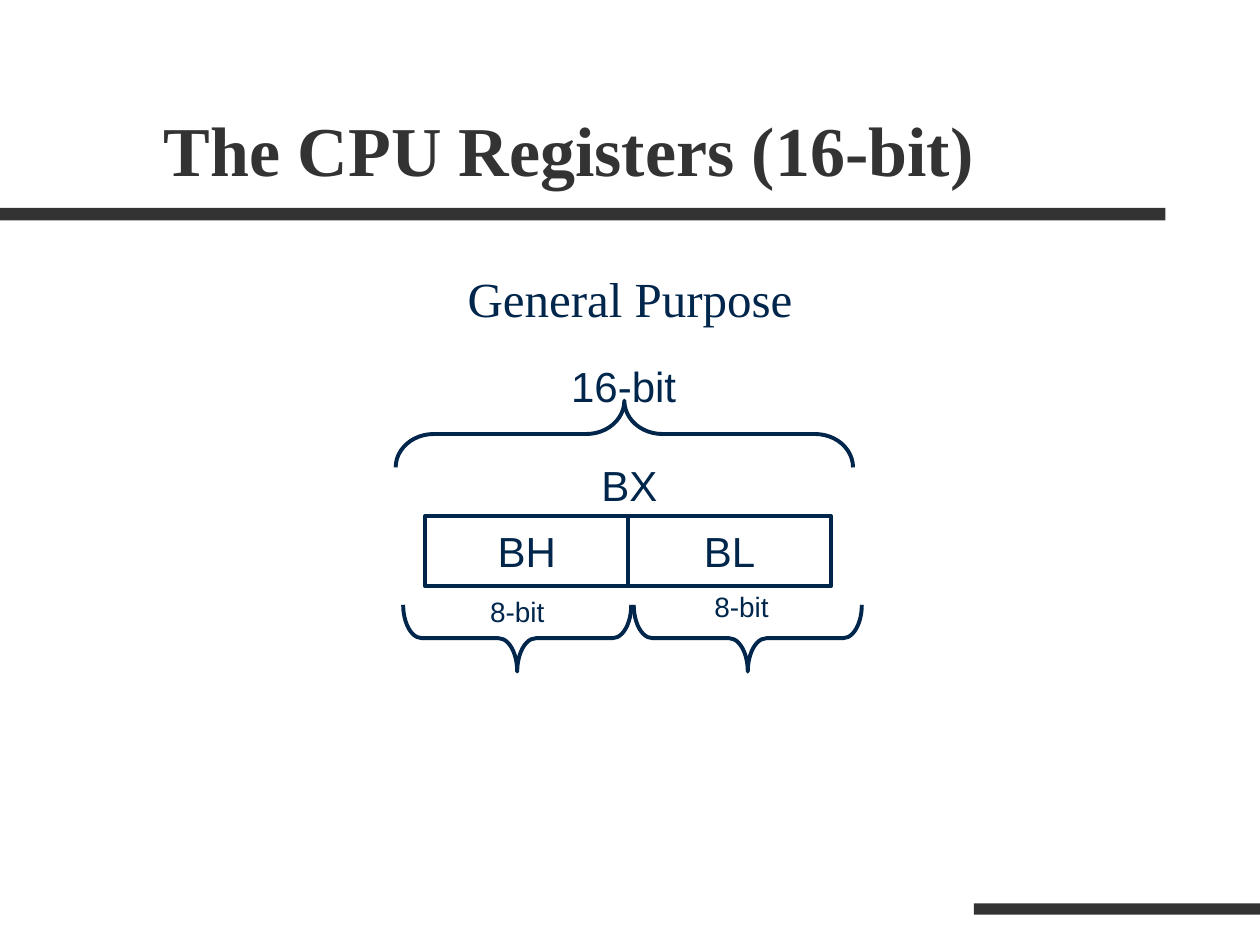
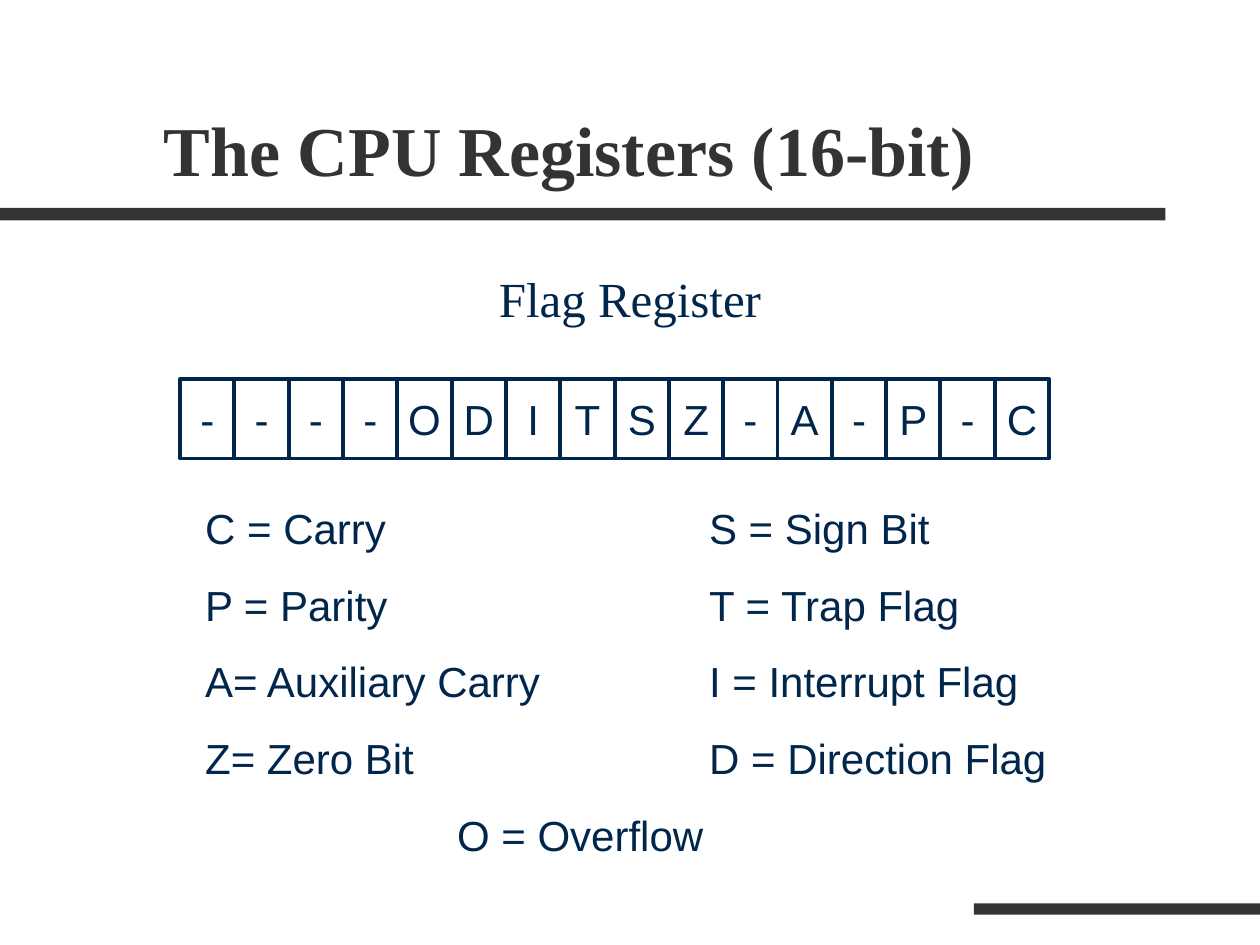
from lxml import etree
from pptx import Presentation, util as u
from pptx.dml.color import RGBColor
from pptx.enum import shapes, text
from pptx.oxml.ns import qn

DARK, NAVY = "333333", "00264C"
SERIF, SANS = "Times New Roman", "Arial"
COLS, ROWS = 100, 75
LEFT, MID = text.PP_ALIGN.LEFT, text.PP_ALIGN.CENTER
BOX, BRACE = shapes.MSO_SHAPE.RECTANGLE, shapes.MSO_SHAPE.LEFT_BRACE


def paint(code):
    return RGBColor.from_string(code)


class Deck:
    """Holds the style and the current slide, measured on a grid of COLS by ROWS."""

    def __init__(self):
        self.file = Presentation()
        self.unit = u.Inches(10) // COLS
        self.file.slide_width, self.file.slide_height = self.grid(COLS, ROWS)
        self.slide = None

    def grid(self, *spots):
        return [u.Emu(round(spot * self.unit)) for spot in spots]

    def place(self, shape, *spots):
        shape.left, shape.top, shape.width, shape.height = self.grid(*spots)

    def style(self, para, size, face=SANS, color=NAVY, align=MID, bold=False, before=0):
        para.alignment = align
        para.space_before = u.Pt(before)
        font = para.font
        font.size, font.name, font.bold = u.Pt(size), face, bold
        font.color.rgb = paint(color)

    def page(self, title, topic):
        self.slide = self.file.slides.add_slide(self.file.slide_layouts[1])
        self.band(0, 16.5, 92.5, 1)
        self.band(77.3, 71.7, 22.7, 0.9)
        head, body = self.slide.placeholders
        self.place(head, 12, 3.1, 85, 12.5)
        self.place(body, 7.5, 20.8, 85, 45.8)
        for holder, words in ((head, title), (body, topic)):
            holder.text_frame.text = words
            holder.text_frame.auto_size = text.MSO_AUTO_SIZE.NONE
        head.text_frame.vertical_anchor = text.MSO_ANCHOR.BOTTOM
        self.style(head.text_frame.paragraphs[0], 40, SERIF, DARK, LEFT, True)
        para = body.text_frame.paragraphs[0]
        props = para._p.get_or_add_pPr()
        props.set("marL", "0")
        props.set("indent", "0")
        etree.SubElement(props, qn("a:buNone"))
        self.style(para, 28, SERIF)

    def shape(self, kind, *spots):
        shape = self.slide.shapes.add_shape(kind, *self.grid(*spots))
        shape.shadow.inherit = False
        return shape

    def band(self, *spots):
        band = self.shape(BOX, *spots)
        band.fill.solid()
        band.fill.fore_color.rgb = paint(DARK)
        band.line.fill.background()

    def stroke(self, kind, *spots):
        shape = self.shape(kind, *spots)
        shape.fill.background()
        shape.line.color.rgb = paint(NAVY)
        shape.line.width = u.Pt(2.25)
        return shape

    def cells(self, labels, left, top, width, height):
        for i, label in enumerate(labels):
            frame = self.stroke(BOX, left + i * width, top, width, height).text_frame
            frame.text = label
            frame.word_wrap = False
            frame.vertical_anchor = text.MSO_ANCHOR.MIDDLE
            self.style(frame.paragraphs[0], 24)

    def brace(self, left, top, span, depth, turn, curve):
        shift = (span - depth) / 2
        brace = self.stroke(BRACE, left + shift, top - shift, depth, span)
        brace.rotation = turn
        brace.adjustments[0] = curve

    def frame(self, words, *spots):
        frame = self.slide.shapes.add_textbox(*self.grid(*spots)).text_frame
        frame.word_wrap = True
        frame.text = words
        return frame

    def label(self, words, size, *spots):
        self.style(self.frame(words, *spots).paragraphs[0], size)

    def list(self, lines, stops, *spots):
        frame = self.frame("\n".join(lines), *spots)
        for i, (para, stop) in enumerate(zip(frame.paragraphs, stops)):
            tabs = etree.SubElement(para._p.get_or_add_pPr(), qn("a:tabLst"))
            pos = str(self.grid(stop)[0])
            etree.SubElement(tabs, qn("a:tab"), pos=pos, algn="l")
            self.style(para, 24, align=LEFT, before=15 if i else 0)


def main():
    deck = Deck()
    title = "The CPU Registers (16-bit)"

    deck.page(title, "General Purpose")
    deck.cells(["BH", "BL"], 33.75, 40.95, 16.1, 5.6)
    deck.brace(31.4, 31.8, 36.3, 5.3, 90, 0.57)
    for left in (32, 50.3):
        deck.brace(left, 48, 18.1, 5.3, 270, 0.28)
    deck.label("BX", 24, 40.7, 36, 18.5, 5)
    deck.label("16-bit", 24, 38.2, 28.1, 22.6, 5)
    for left, top in ((34.3, 46.7), (52.1, 46.3)):
        deck.label("8-bit", 16, left, top, 13.5, 3.7)

    deck.page(title, "Flag Register")
    deck.cells("----ODITSZ-A-P-C", 14.3, 30.1, 4.31, 6.3)
    pairs = [
        ("C = Carry", "S = Sign Bit"),
        ("P = Parity", "T = Trap Flag"),
        ("A= Auxiliary Carry", "I = Interrupt Flag"),
        ("Z= Zero Bit", "D = Direction Flag"),
        ("", "O = Overflow"),
    ]
    stops = [40] * 4 + [20]
    deck.list(["\t".join(pair) for pair in pairs], stops, 15.3, 39.4, 69.6, 29.4)

    deck.file.save("out.pptx")


if __name__ == "__main__":
    main()
